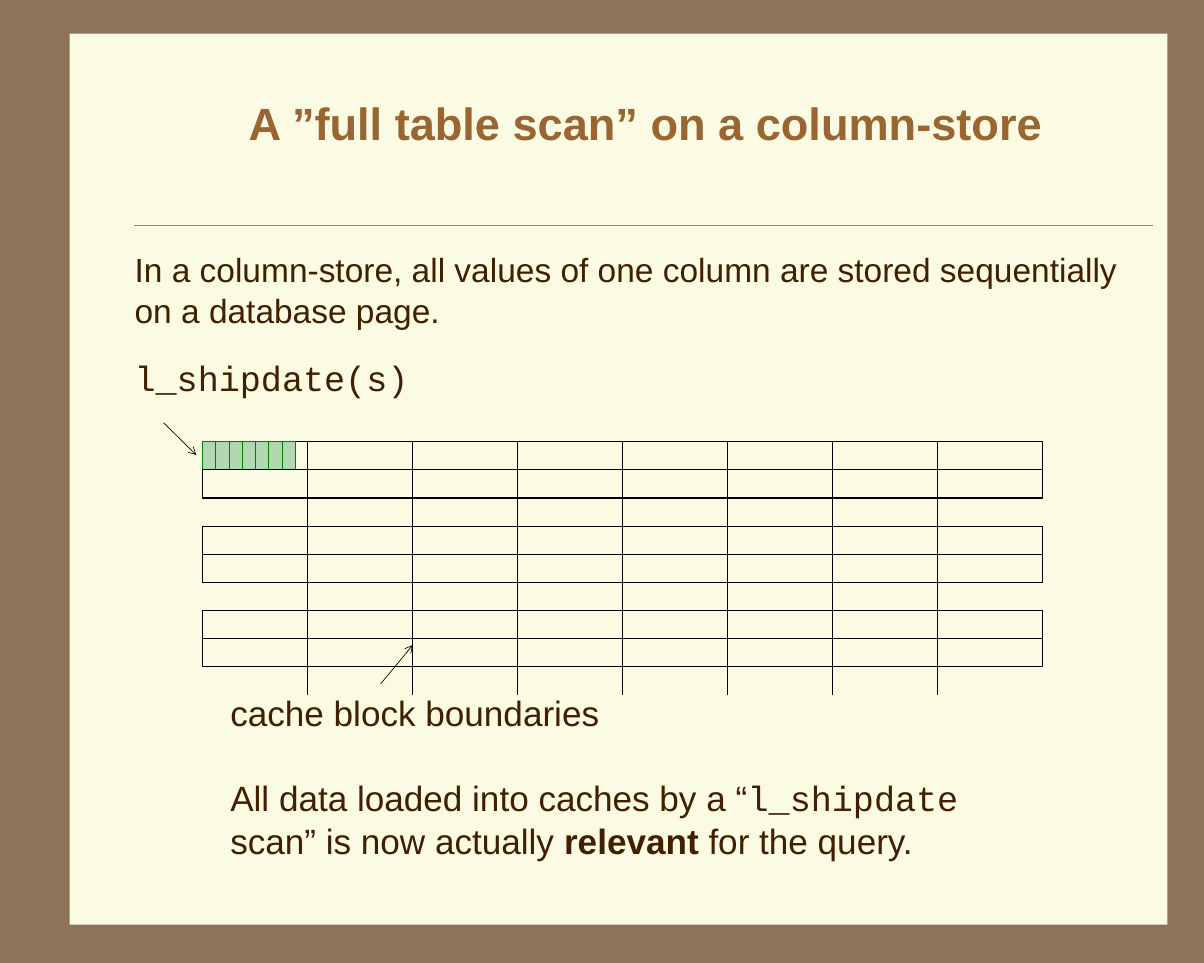
from dataclasses import dataclass
from pptx import Presentation
from pptx.dml.color import RGBColor as Rgb
from pptx.enum.shapes import MSO_CONNECTOR as Conn, MSO_SHAPE as Kind
from pptx.enum.text import MSO_ANCHOR as Anchor, MSO_AUTO_SIZE as Fit, PP_ALIGN as Align
from pptx.oxml.ns import qn
from pptx.util import Cm, Pt
from lxml.etree import SubElement as Sub

# Content: each paragraph is (space before, line spacing, runs)
# and each run is (words, style name)
TITLE = "A ”full table scan” on a column-store"
INTRO = [
    (0, 1.03, [("In a column-store, all values of one column are stored "
                "sequentially on a database page.", "body")]),
    (15.2, 1.0, [("l_shipdate(s)", "code")]),
]
NOTES = [
    (0, 1.0, [("cache block boundaries", "note")]),
    (24.9, 1.03, [("All data loaded into caches by a “", "note"),
                  ("l_shipdate ", "code"),
                  ("scan” is now actually ", "note"),
                  ("relevant ", "bold"),
                  ("for the query.", "note")]),
]
ARROWS = [(3.45, 8.92, 4.14, 9.6), (8.03, 14.43, 8.71, 13.61)]
PAGES, BLOCKS, VALUES = 3, 8, 7


@dataclass(frozen=True)
class Theme:
    back: str = "8C735A"
    panel: str = "FBFAE2"
    rule: str = "A08366"
    title: str = "996633"
    text: str = "402000"
    ink: str = "000000"
    value: str = "B2D8B2"
    edge: str = "007F00"
    thin: float = 0.4
    frame: float = 0.6


LOOK = Theme()
# Style name: font, size, bold, colour
STYLES = {
    "title": ("Arial", 27, True, LOOK.title),
    "body": ("Arial", 20, False, LOOK.text),
    "note": ("Arial", 21, False, LOOK.text),
    "bold": ("Arial", 21, True, LOOK.text),
    "code": ("Courier New", 21, False, LOOK.text),
}


def color(code):
    return Rgb.from_string(code)


def style(run, name):
    face, size, bold, ink = STYLES[name]
    font = run.font
    font.name, font.size, font.bold = face, Pt(size), bold
    font.color.rgb = color(ink)


def place(shape, left, top, width, height):
    shape.left, shape.top = Cm(left), Cm(top)
    shape.width, shape.height = Cm(width), Cm(height)


def frame(shape, anchor=Anchor.TOP):
    box = shape.text_frame
    box.word_wrap, box.auto_size = True, Fit.NONE
    box.vertical_anchor = anchor
    box.margin_left = box.margin_right = box.margin_top = box.margin_bottom = 0
    return box


def write(box, paras):
    for i, (before, lead, runs) in enumerate(paras):
        para = box.add_paragraph() if i else box.paragraphs[0]
        props = para._p.get_or_add_pPr()
        props.set("marL", "0")
        props.set("indent", "0")
        Sub(props, qn("a:buNone"))
        para.alignment = Align.LEFT
        para.space_before, para.line_spacing = Pt(before), lead
        for words, name in runs:
            run = para.add_run()
            run.text = words
            style(run, name)


def rect(shapes, left, top, width, height, fill=None, edge=None, weight=0):
    shape = shapes.add_shape(Kind.RECTANGLE, Cm(left), Cm(top), Cm(width), Cm(height))
    shape.shadow.inherit = False
    if fill:
        shape.fill.solid()
        shape.fill.fore_color.rgb = color(fill)
    else:
        shape.fill.background()
    if edge:
        shape.line.color.rgb = color(edge)
        shape.line.width = Pt(weight)
    else:
        shape.line.fill.background()
    return shape


def line(shapes, x1, y1, x2, y2, ink=LOOK.ink, weight=LOOK.thin, head=False):
    link = shapes.add_connector(Conn.STRAIGHT, Cm(x1), Cm(y1), Cm(x2), Cm(y2))
    link.line.color.rgb = color(ink)
    link.line.width = Pt(weight)
    if head:
        Sub(link.line._ln, qn("a:tailEnd"), type="arrow", w="sm", len="sm")
    Sub(link._element.spPr, qn("a:effectLst"))


def grid(shapes):
    left, top, width, height = 4.27, 9.32, 17.73, 5.34
    rows = PAGES * 3
    row, block, cell = height / rows, width / BLOCKS, 0.28
    # Database pages: two rows each, one row apart
    for i in range(PAGES):
        rect(shapes, left, top + 3 * i * row, width, 2 * row,
             edge=LOOK.ink, weight=LOOK.frame)
    # Column values
    for i in range(VALUES):
        rect(shapes, left + i * cell, top, cell, row,
             LOOK.value, LOOK.edge, LOOK.thin)
    # Cache block boundaries
    for i in range(1, BLOCKS):
        x = left + i * block
        line(shapes, x, top + height, x, top)
    # Row lines
    for i in range(1, rows - 1):
        y = top + i * row
        line(shapes, left, y, left + width, y)


def main():
    deck = Presentation()
    deck.slide_width, deck.slide_height = Cm(25.4), Cm(20.32)
    slide = deck.slides.add_slide(deck.slide_layouts[1])
    shapes = slide.shapes
    title, body = shapes.title, slide.placeholders[1]

    # Background, with the panel sent behind the placeholders
    slide.background.fill.solid()
    slide.background.fill.fore_color.rgb = color(LOOK.back)
    panel = rect(shapes, 1.47, 0.71, 23.16, 18.95 - 0.2 + 0.05, LOOK.panel)
    title._element.addprevious(panel._element)
    line(shapes, 2.82, 4.75, 24.33, 4.75, LOOK.rule, 0.25)

    # Title
    place(title, 2.82, 1.35, 21.59, 2.46)
    box = frame(title, Anchor.MIDDLE)
    box.text = TITLE
    box.paragraphs[0].alignment = Align.CENTER
    style(box.paragraphs[0].runs[0], "title")

    # Introduction
    place(body, 2.84, 5.23, 21.29, 3.38)
    write(frame(body), INTRO)

    # Page diagram with arrows
    grid(shapes)
    for ends in ARROWS:
        line(shapes, *ends, head=True)

    # Caption and conclusion
    notes = shapes.add_textbox(Cm(4.86), Cm(14.58), Cm(17.34), Cm(3.81))
    write(frame(notes), NOTES)

    deck.save("out.pptx")


if __name__ == "__main__":
    main()
